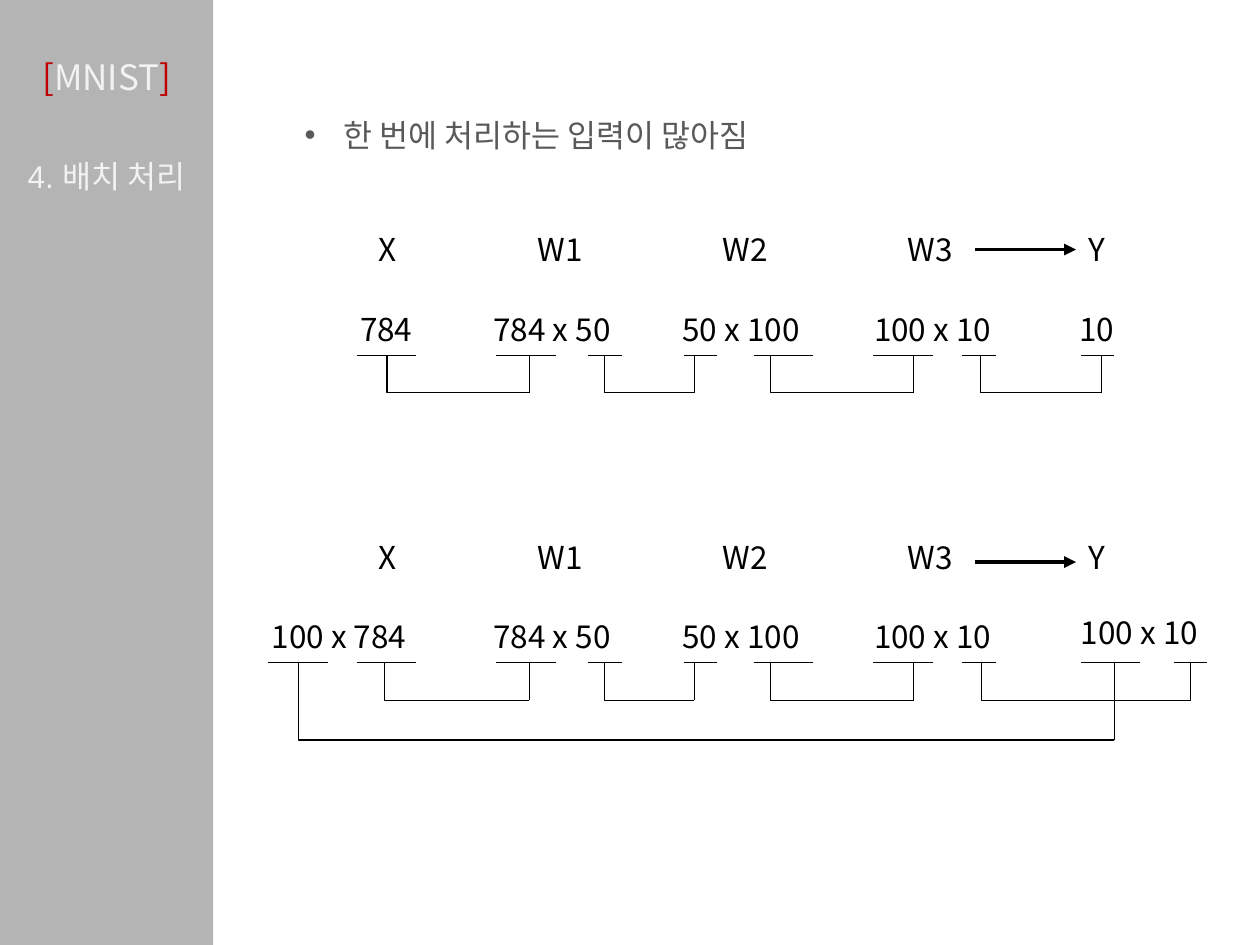
from dataclasses import dataclass

from lxml.etree import SubElement
from pptx import Presentation
from pptx.dml.color import RGBColor
from pptx.enum.shapes import MSO_CONNECTOR, MSO_SHAPE
from pptx.enum.text import MSO_ANCHOR, MSO_AUTO_SIZE, PP_ALIGN
from pptx.oxml.ns import qn
from pptx.util import Cm, Pt

SANS = "Noto Sans CJK KR"
PALE = "F2F2F2"
RED = "C00000"
LONG, SHORT = 1.2, 0.67  # underline widths


@dataclass
class Label:
    text: str
    x: float
    width: float
    lift: float = 0


@dataclass
class Rule:
    x: float
    width: float


@dataclass
class Link:
    left: float
    right: float
    drop: float = 0.76


def paint(target, color: str) -> None:
    """Give a fill a solid colour."""
    target.solid()
    target.fore_color.rgb = RGBColor.from_string(color)


def add_run(par, text: str, size: float, color: str, font: str = SANS) -> None:
    run = par.add_run()
    run.text = text
    run.font.size = Pt(size)
    run.font.name = font
    paint(run.font.fill, color)
    SubElement(run.font._element, qn("a:ea")).set("typeface", SANS)


def add_box(slide, x: float, y: float, width: float, height: float):
    box = slide.shapes.add_textbox(Cm(x), Cm(y), Cm(width), Cm(height))
    box.text_frame.word_wrap = True
    return box.text_frame


def add_label(slide, label: Label, y: float) -> None:
    frame = add_box(slide, label.x, y - label.lift, label.width, 1.02)
    frame.auto_size = MSO_AUTO_SIZE.SHAPE_TO_FIT_TEXT
    add_run(frame.paragraphs[0], label.text, 18, "000000")


def add_line(slide, x1: float, y1: float, x2: float, y2: float,
             width: float = 0.75, kind=MSO_CONNECTOR.STRAIGHT):
    line = slide.shapes.add_connector(kind, Cm(x1), Cm(y1), Cm(x2), Cm(y2))
    paint(line.line.fill, "000000")
    line.line.width = Pt(width)
    SubElement(line._element.spPr, qn("a:effectLst"))
    return line


def add_arrow(slide, x1: float, x2: float, y: float) -> None:
    arrow = add_line(slide, x1, y, x2, y, 2.25)
    SubElement(arrow.line._ln, qn("a:tailEnd")).set("type", "triangle")


def add_link(slide, link: Link, y: float) -> None:
    """Draw a bracket: an elbow down and across, then a line back up."""
    end = y + link.drop
    elbow = add_line(slide, link.left, y, link.right, end,
                     kind=MSO_CONNECTOR.ELBOW)
    geom = elbow._element.spPr.find(qn("a:prstGeom"))
    guides = geom.find(qn("a:avLst"))
    if guides is None:
        guides = SubElement(geom, qn("a:avLst"))
    guide = SubElement(guides, qn("a:gd"))
    guide.set("name", "adj1")
    guide.set("fmla", "val 0")
    add_line(slide, link.right, end, link.right, y)


def add_flow(slide, top: float, arrow: float, sizes: list[Label],
             rules: list[Rule], links: list[Link]) -> None:
    """Draw one row of layers with its matrix sizes and brackets."""
    for name in NAMES:
        add_label(slide, name, top)
    for size in sizes:
        add_label(slide, size, top + 1.6)
    base = top + 2.64
    for rule in rules:
        add_line(slide, rule.x, base, rule.x + rule.width, base)
    for link in links:
        add_link(slide, link, base)
    add_arrow(slide, 19.66, 21.69, arrow)


# Parts that both rows share
NAMES = [Label("X", 7.39, 0.99),
         *(Label(f"W{i + 1}", 10.59 + 3.73 * i, 1.6) for i in range(3)),
         Label("Y", 21.69, 0.99)]
SIZES = [Label("784 x 50", 9.7, 3), Label("50 x 100", 13.51, 3),
         Label("100 x 10", 17.37, 3)]
RULES = [Rule(7.19, LONG), Rule(10, LONG), Rule(11.86, SHORT),
         Rule(13.79, SHORT), Rule(15.19, LONG), Rule(17.6, LONG),
         Rule(19.4, SHORT)]
LINKS = [Link(12.19, 14), Link(15.54, 18.42)]


def main() -> None:
    deck = Presentation()
    deck.slide_width, deck.slide_height = Cm(25.4), Cm(19.05)
    slide = deck.slides.add_slide(deck.slide_layouts[5])
    title = slide.shapes.title

    # Sidebar, behind the title
    bar = slide.shapes.add_shape(MSO_SHAPE.RECTANGLE, Cm(-0.1), Cm(0),
                                 Cm(4.4), Cm(19.05))
    bar.shadow.inherit = False
    bar.line.fill.background()
    paint(bar.fill, "262626")
    tint = bar._element.spPr.find(qn("a:solidFill"))[0]
    SubElement(tint, qn("a:alpha")).set("val", "34000")
    title._element.addprevious(bar._element)

    # Title
    title.left, title.top = Cm(0), Cm(0.76)
    title.width, title.height = Cm(4.3), Cm(1.57)
    title.text_frame.vertical_anchor = MSO_ANCHOR.MIDDLE
    head = title.text_frame.paragraphs[0]
    head.alignment = PP_ALIGN.CENTER
    for text, color in (("[", RED), ("MNIST", PALE), ("]", RED)):
        add_run(head, text, 20, color)

    # Section name
    frame = add_box(slide, 0, 3.05, 4.3, 1)
    frame.vertical_anchor = MSO_ANCHOR.MIDDLE
    part = frame.paragraphs[0]
    part.alignment = PP_ALIGN.CENTER
    add_run(part, "4. 배치 처리", 18, PALE, "Arial")

    # Bullet
    frame = add_box(slide, 5.89, 1.83, 18.8, 1.27)
    frame.auto_size = MSO_AUTO_SIZE.SHAPE_TO_FIT_TEXT
    point = frame.paragraphs[0]
    point.line_spacing = 1.5
    props = point._p.get_or_add_pPr()
    props.set("marL", str(Cm(0.79)))
    props.set("indent", str(Cm(-0.79)))
    SubElement(props, qn("a:buFont")).set("typeface", "Arial")
    SubElement(props, qn("a:buChar")).set("char", "•")
    add_run(point, "한 번에 처리하는 입력이 많아짐", 18, "595959", "Arial")

    # Single input
    add_flow(slide, 4.52, 5.03,
             [Label("784", 7.01, 1.6), *SIZES, Label("10", 21.51, 1.6)],
             [*RULES, Rule(21.79, SHORT)],
             [Link(7.8, 10.67), *LINKS, Link(19.76, 22.2)])

    # Batch of 100 inputs
    add_flow(slide, 10.72, 11.33,
             [Label("100 x 784", 5.23, 3.81), *SIZES,
              Label("100 x 10", 21.54, 3.5, 0.08)],
             [*RULES, Rule(5.41, LONG), Rule(21.79, LONG),
              Rule(23.67, SHORT)],
             [Link(7.75, 10.67), *LINKS, Link(19.79, 24),
              Link(6.02, 22.46, 1.56)])

    deck.save("out.pptx")


if __name__ == "__main__":
    main()
